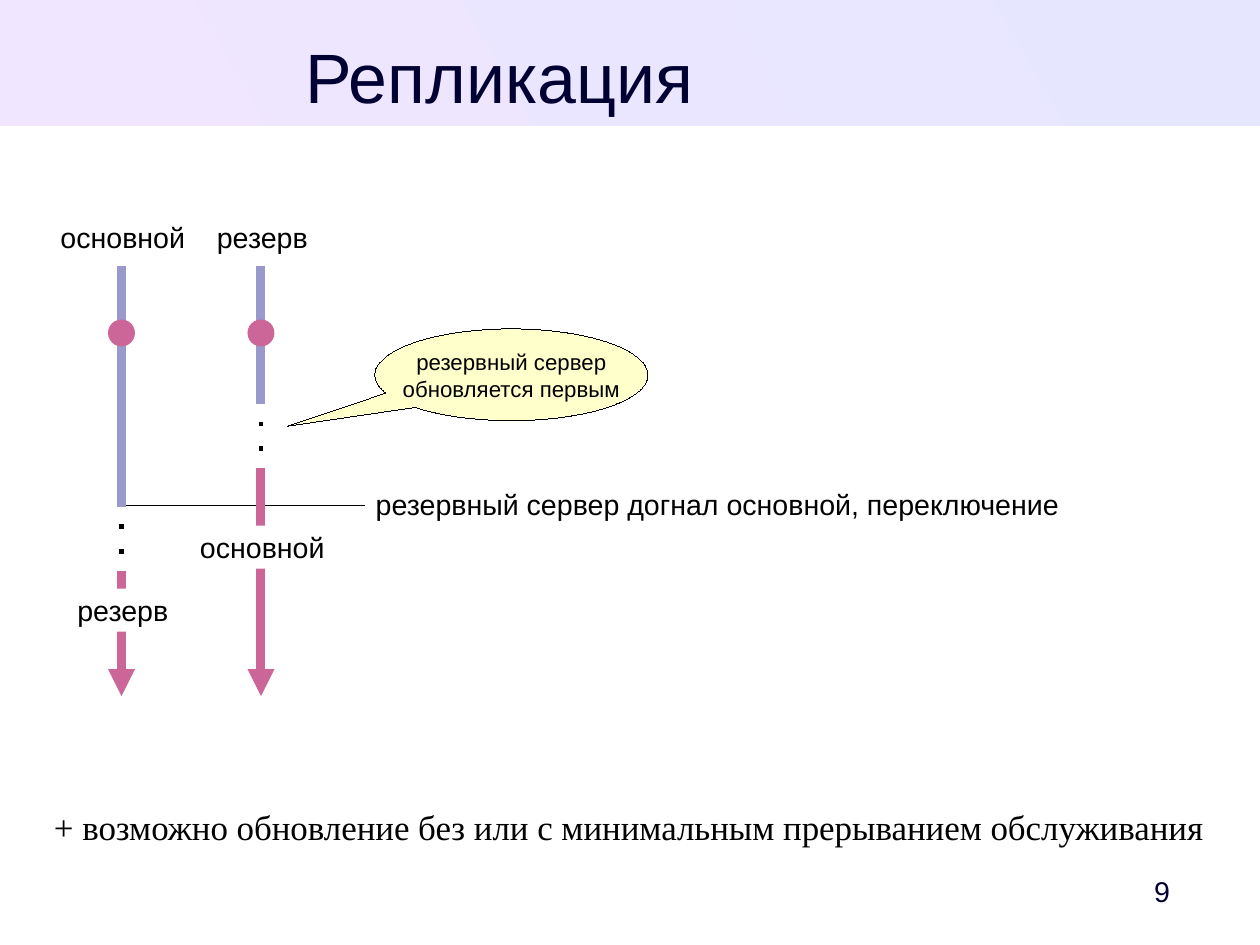
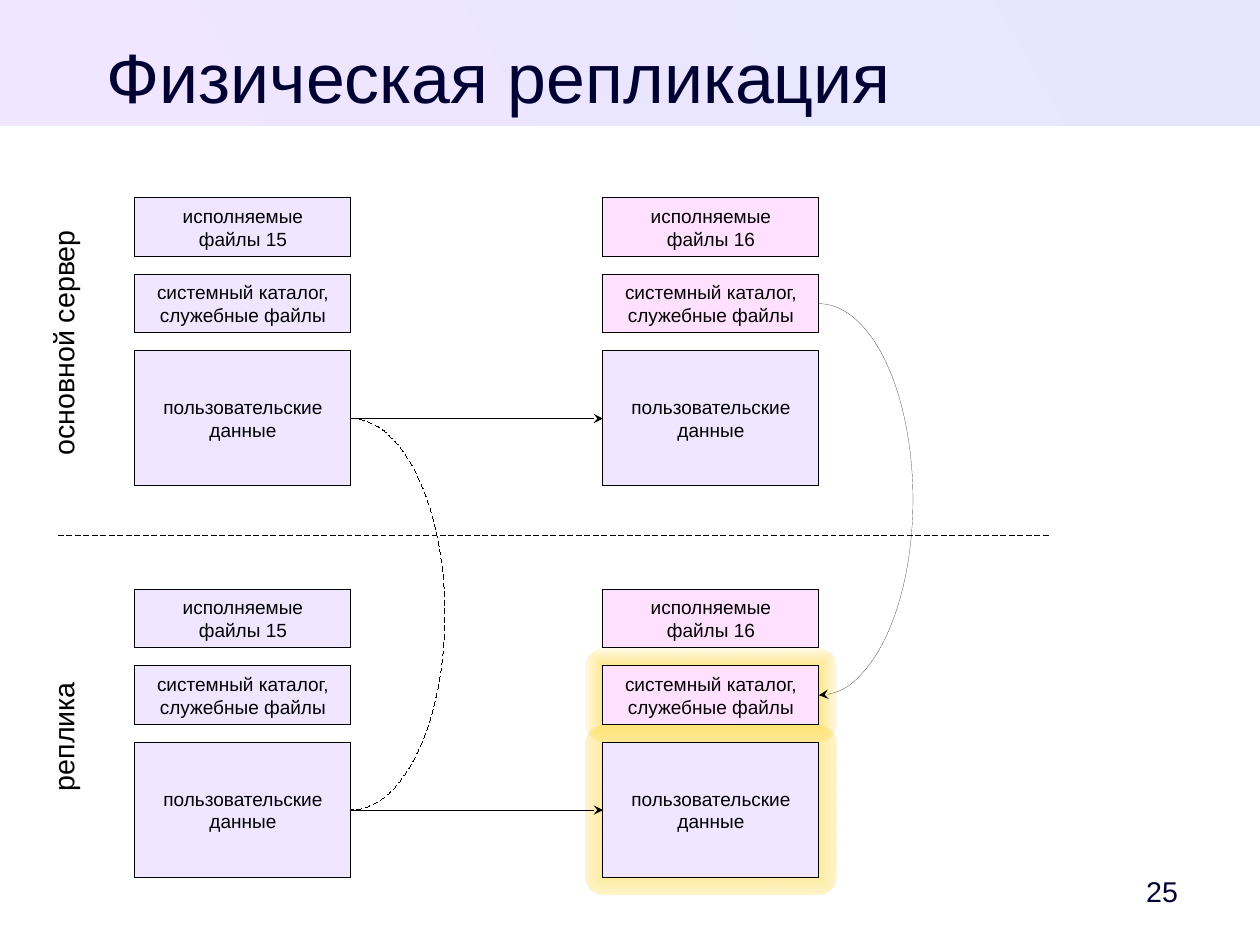
from pptx import Presentation
from pptx.dml.color import RGBColor
from pptx.enum.dml import MSO_LINE
from pptx.enum.shapes import MSO_CONNECTOR, MSO_SHAPE
from pptx.enum.text import MSO_ANCHOR, PP_ALIGN
from pptx.oxml import parse_xml
from pptx.oxml.ns import nsdecls, qn
from pptx.util import Cm, Pt

STRAIGHT = MSO_CONNECTOR.STRAIGHT
RECTANGLE, OVAL, ARC = MSO_SHAPE.RECTANGLE, MSO_SHAPE.OVAL, MSO_SHAPE.ARC
ROUNDED, CALLOUT = MSO_SHAPE.ROUNDED_RECTANGLE, MSO_SHAPE.OVAL_CALLOUT
LEFT, CENTER = PP_ALIGN.LEFT, PP_ALIGN.CENTER
TOP, MIDDLE = MSO_ANCHOR.TOP, MSO_ANCHOR.MIDDLE
DASHED = MSO_LINE.DASH

BLACK, WHITE, NAVY = "000000", "FFFFFF", "000033"
OLD_LINE, NEW_LINE = "9999CC", "CC6699"
LILAC, PINK, BLUE, CREAM, GOLD = "F0E6FF", "FFE1FF", "E6E6FF", "FFFFCC", "FFCC00"
SANS, SERIF = "Arial", "Times New Roman"
HAIRLINE = 0.01

rgb = RGBColor.from_string


def style_line(shape, color=BLACK, width=HAIRLINE, dash=None, arrow=None, spots=False):
    """Format an outline or connector; spots gives widely spaced square dots."""
    shape.line.color.rgb = rgb(color)
    shape.line.width = Pt(width)
    if dash:
        shape.line.dash_style = dash
    properties = shape._element.spPr
    outline = properties.find(qn("a:ln"))
    if spots:
        outline.append(parse_xml(
            f'<a:custDash {nsdecls("a")}><a:ds d="100000" sp="450000"/></a:custDash>'))
    if arrow:
        outline.append(parse_xml(f'<a:tailEnd {nsdecls("a")} type="{arrow}"/>'))
    properties.append(parse_xml(f'<a:effectLst {nsdecls("a")}/>'))


def set_text(shape, text, size, color=BLACK, font=SANS, align=CENTER,
             anchor=MIDDLE, wrap=False, margins=(0.25, 0.13, 0.25, 0.13)):
    frame = shape.text_frame
    frame.text = text
    frame.word_wrap = wrap
    frame.vertical_anchor = anchor
    (frame.margin_left, frame.margin_top,
     frame.margin_right, frame.margin_bottom) = [Cm(margin) for margin in margins]
    for para in frame.paragraphs:
        para.alignment = align
        for span in para.runs:
            span.font.size = Pt(size)
            span.font.name = font
            span.font.color.rgb = rgb(color)


deck = Presentation()
deck.slide_width, deck.slide_height = Cm(28), Cm(21)
layout = deck.slide_layouts[5]

# Shared title and page number
slides = []
for heading, number in (("Репликация", "9"), ("Физическая репликация", "25")):
    slide = deck.slides.add_slide(layout)
    title = slide.shapes.title
    title.left, title.top, title.width, title.height = Cm(1.2), Cm(0.74), Cm(19.8), Cm(1.75)
    set_text(title, heading, 44, NAVY, anchor=TOP, wrap=True, margins=(0, 0, 0, 0))
    page = slide.shapes.add_textbox(Cm(24.6), Cm(19.2), Cm(2.2), Cm(1.2))
    set_text(page, number, 18, NAVY, wrap=True, margins=(0.25, 0.13, 0, 0.13))
    slides.append(slide)
timeline, physical = slides

# Band, placed on the layout behind everything else
band = timeline.shapes.add_shape(RECTANGLE, Cm(0), Cm(0), Cm(28), Cm(2.8))
band.shadow.inherit = False
band.line.fill.background()
band.fill.gradient()
band.fill.gradient_angle = 210
for stop, color in zip(band.fill.gradient_stops, (BLUE, LILAC)):
    stop.color.rgb = rgb(color)
layout.shapes._spTree.insert(2, band._element)

# Slide 1: two servers swapping roles over time
switch = timeline.shapes.add_connector(STRAIGHT, Cm(2.7), Cm(11.23), Cm(8.1), Cm(11.23))
style_line(switch)

# x, first role, end of old version, dots, start of new version, second role, its top, its width
servers = (
    (2.7, "основной", 11.27, 11.65, 12.68, "резерв", 13.08, 2.5),
    (5.8, "резерв", 8.98, 9.37, 10.4, "основной", 11.68, 3.28),
)
for x, role, old_end, dots, new_start, new_role, role_top, role_width in servers:
    for start, end, style in (
        (5.9, old_end, {"color": OLD_LINE, "width": 5.67}),
        (dots, dots + 0.9, {"width": 2.83, "spots": True}),
        (new_start, 15.47, {"color": NEW_LINE, "width": 5.67, "arrow": "triangle"}),
    ):
        segment = timeline.shapes.add_connector(STRAIGHT, Cm(x), Cm(start), Cm(x), Cm(end))
        style_line(segment, **style)

    update = timeline.shapes.add_shape(OVAL, Cm(x - 0.3), Cm(7.1), Cm(0.6), Cm(0.6))
    update.shadow.inherit = False
    update.fill.solid()
    update.fill.fore_color.rgb = rgb(NEW_LINE)
    update.line.fill.background()

    for text, top, width in ((role, 4.8, 3.28), (new_role, role_top, role_width)):
        label = timeline.shapes.add_textbox(
            Cm(x + 0.03 - width / 2), Cm(top), Cm(width), Cm(0.96))
        set_text(label, text, 18, margins=(0, 0.13, 0, 0.13))
        if text == new_role:
            label.fill.solid()
            label.fill.fore_color.rgb = rgb(WHITE)

caption = timeline.shapes.add_textbox(Cm(8.1), Cm(10.72), Cm(15.7), Cm(0.96))
set_text(caption, "резервный сервер догнал основной, переключение", 18, align=LEFT)

callout = timeline.shapes.add_shape(CALLOUT, Cm(8.33), Cm(7.31), Cm(6.07), Cm(2.04))
callout.adjustments[0], callout.adjustments[1] = -0.82, 0.56
callout.fill.solid()
callout.fill.fore_color.rgb = rgb(CREAM)
style_line(callout)
set_text(callout, "резервный сервер\nобновляется первым", 14)

benefit = timeline.shapes.add_textbox(Cm(1.2), Cm(17.9), Cm(25.6), Cm(0.9))
set_text(benefit, "+ возможно обновление без или с минимальным прерыванием обслуживания",
         22, font=SERIF, align=LEFT, anchor=TOP, margins=(0, 0, 0, 0))

# Slide 2: the same stack of files on two servers and in two versions
OLD_LEFT, NEW_LEFT, BOX_WIDTH = 3, 13.4, 4.8
OLD_RIGHT, NEW_RIGHT = OLD_LEFT + BOX_WIDTH, NEW_LEFT + BOX_WIDTH
MAIN_TOP, REPLICA_TOP = 4.4, 13.1
SHIFT = REPLICA_TOP - MAIN_TOP
GLOW = 0.38

divider = physical.shapes.add_connector(STRAIGHT, Cm(1.3), Cm(11.9), Cm(23.3), Cm(11.9))
style_line(divider, dash=DASHED)

for text, middle in (("основной сервер", 7.62), ("реплика", 16.37)):
    side = physical.shapes.add_textbox(Cm(1.4 - 3.25), Cm(middle - 0.48), Cm(6.5), Cm(0.96))
    side.rotation = 270
    set_text(side, text, 18, wrap=True)

# text, offset in the stack, height, colour in the new version, edge opacity of the glow
parts = (
    ("исполняемые\nфайлы {}", 0, 1.3, PINK, None),
    ("системный каталог,\nслужебные файлы", 1.7, 1.3, PINK, 10),
    ("пользовательские\nданные", 3.4, 3, LILAC, 20),
)
for server_top in (MAIN_TOP, REPLICA_TOP):
    for left, version in ((OLD_LEFT, 15), (NEW_LEFT, 16)):
        for text, offset, height, new_color, opacity in parts:
            top = server_top + offset
            if opacity and server_top == REPLICA_TOP and left == NEW_LEFT:
                glow_height = height + 2 * GLOW
                glow = physical.shapes.add_shape(
                    ROUNDED, Cm(left - GLOW), Cm(top - GLOW),
                    Cm(BOX_WIDTH + 2 * GLOW), Cm(glow_height))
                glow.adjustments[0] = 0.42 / glow_height
                glow.shadow.inherit = False
                glow.line.fill.background()
                glow._element.spPr.find(qn("a:prstGeom")).addnext(parse_xml(
                    f'<a:gradFill {nsdecls("a")}><a:gsLst>'
                    f'<a:gs pos="0"><a:srgbClr val="{GOLD}"/></a:gs>'
                    f'<a:gs pos="100000"><a:srgbClr val="{GOLD}">'
                    f'<a:alpha val="{opacity * 1000}"/></a:srgbClr></a:gs></a:gsLst>'
                    '<a:path path="rect"><a:fillToRect l="50000" t="50000" r="50000" '
                    'b="50000"/></a:path></a:gradFill>'))
            box = physical.shapes.add_shape(
                RECTANGLE, Cm(left), Cm(top), Cm(BOX_WIDTH), Cm(height))
            box.fill.solid()
            box.fill.fore_color.rgb = rgb(new_color if left == NEW_LEFT else LILAC)
            style_line(box)
            set_text(box, text.format(version), 12)

    data_middle = server_top + 4.9
    upgrade = physical.shapes.add_connector(
        STRAIGHT, Cm(OLD_RIGHT), Cm(data_middle), Cm(NEW_LEFT), Cm(data_middle))
    style_line(upgrade, arrow="stealth")

# Half ellipses from a box on the main server to the same box on the replica
BULGE = 2.09
for right, middle, style in (
    (OLD_RIGHT, MAIN_TOP + 4.9, {"dash": DASHED}),
    (NEW_RIGHT, MAIN_TOP + 2.35, {"arrow": "stealth"}),
):
    arc = physical.shapes.add_shape(ARC, Cm(right - BULGE), Cm(middle), Cm(2 * BULGE), Cm(SHIFT))
    arc.adjustments[0], arc.adjustments[1] = 162, 54
    arc.fill.background()
    style_line(arc, **style)

deck.save("out.pptx")
